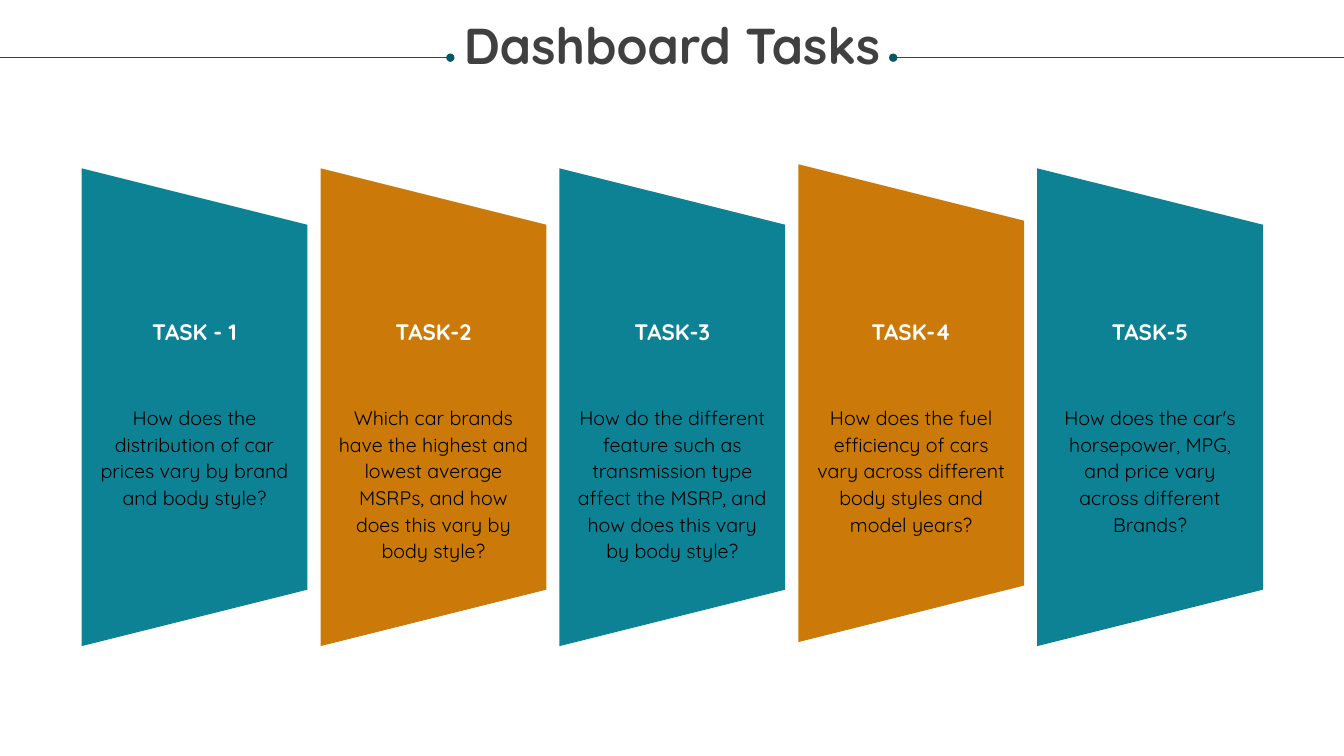
from dataclasses import dataclass

import lxml.etree
import pptx
import pptx.dml.color
import pptx.enum.shapes
import pptx.enum.text
import pptx.oxml.ns
import pptx.slide
import pptx.util

Pt = pptx.util.Pt
SLIDE_WIDTH, SLIDE_HEIGHT = 960, 540
TEAL, ORANGE, DARK_TEAL = "0D8295", "CB7A09", "085764"
FIRST_CENTER, PITCH = 138.96, 170.64
PANEL_WIDTH, PANEL_HEIGHT = 161.28, 341.28
RULE_Y = 41.2


@dataclass(frozen=True)
class Task:
    label: str
    question: str
    color: str
    middle: float = 290.88


@dataclass(frozen=True)
class TextStyle:
    size: float
    color: str
    bold: bool
    line_spacing: float | pptx.util.Length


TITLE = TextStyle(36, "404040", True, 0.9)
LABEL = TextStyle(16, "FFFFFF", True, 1.0)
QUESTION = TextStyle(14, "000000", False, Pt(19))

TASKS = [
    Task("TASK - 1", "How does the distribution of car prices vary by brand and body style?", TEAL),
    Task("TASK-2", "Which car brands have the highest and lowest average MSRPs, "
         "and how does this vary by body style?", ORANGE),
    Task("TASK-3", "How do the different feature such as transmission type affect the MSRP, "
         "and how does this vary by body style?", TEAL),
    Task("TASK-4", "How does the fuel efficiency of cars vary across different "
         "body styles and model years?", ORANGE, 288),
    Task("TASK-5", "How does the car's horsepower, MPG, and price vary "
         "across different Brands?", TEAL),
]


def rgb(color: str) -> pptx.dml.color.RGBColor:
    return pptx.dml.color.RGBColor.from_string(color)


def apply_format(target: object, values: dict[str, object]) -> None:
    for name, value in values.items():
        setattr(target, name, value)


def add_text(slide: pptx.slide.Slide, text: str, center: float, top: float,
             width: float, height: float, style: TextStyle) -> None:
    box = slide.shapes.add_textbox(Pt(center - width / 2), Pt(top), Pt(width), Pt(height))
    apply_format(box.text_frame, {
        "word_wrap": True,
        "margin_left": 0, "margin_right": 0, "margin_top": 0, "margin_bottom": 0,
        "vertical_anchor": pptx.enum.text.MSO_ANCHOR.TOP,
    })
    paragraph = box.text_frame.paragraphs[0]
    apply_format(paragraph, {
        "alignment": pptx.enum.text.PP_ALIGN.CENTER,
        "line_spacing": style.line_spacing,
    })
    run = paragraph.add_run()
    run.text = text
    apply_format(run.font, {"name": "Quicksand", "size": Pt(style.size), "bold": style.bold})
    run.font.color.rgb = rgb(style.color)


def add_title_rule(slide: pptx.slide.Slide, edge: float, dot: float) -> None:
    rule = slide.shapes.add_connector(
        pptx.enum.shapes.MSO_CONNECTOR.STRAIGHT, Pt(edge), Pt(RULE_Y), Pt(dot), Pt(RULE_Y))
    rule.line.color.rgb = rgb(DARK_TEAL)
    rule.line.width = Pt(0.5)
    qualified = pptx.oxml.ns.qn
    lxml.etree.SubElement(rule.line._get_or_add_ln(), qualified("a:tailEnd"), type="oval")
    lxml.etree.SubElement(rule._element.spPr, qualified("a:effectLst"))


def add_panel(slide: pptx.slide.Slide, task: Task, center: float) -> None:
    panel = slide.shapes.add_shape(
        pptx.enum.shapes.MSO_SHAPE.TRAPEZOID,
        Pt(center - PANEL_HEIGHT / 2), Pt(task.middle - PANEL_WIDTH / 2),
        Pt(PANEL_HEIGHT), Pt(PANEL_WIDTH))
    panel.rotation = 90
    panel.shadow.inherit = False
    panel.fill.solid()
    panel.fill.fore_color.rgb = rgb(task.color)
    panel.line.fill.background()


def main() -> None:
    presentation = pptx.Presentation()
    apply_format(presentation, {"slide_width": Pt(SLIDE_WIDTH), "slide_height": Pt(SLIDE_HEIGHT)})
    slide = presentation.slides.add_slide(presentation.slide_layouts[6])

    add_text(slide, "Dashboard Tasks", SLIDE_WIDTH / 2, 15.12, 924, 70, TITLE)
    for edge, dot in ((0, 321.7), (SLIDE_WIDTH, 638)):
        add_title_rule(slide, edge, dot)

    for index, task in enumerate(TASKS):
        center = FIRST_CENTER + index * PITCH
        add_panel(slide, task, center)
        add_text(slide, task.label, center, 227.5, 108, 19.5, LABEL)
        add_text(slide, task.question, center, 288, 138.24, 114, QUESTION)

    presentation.save("out.pptx")


if __name__ == "__main__":
    main()
